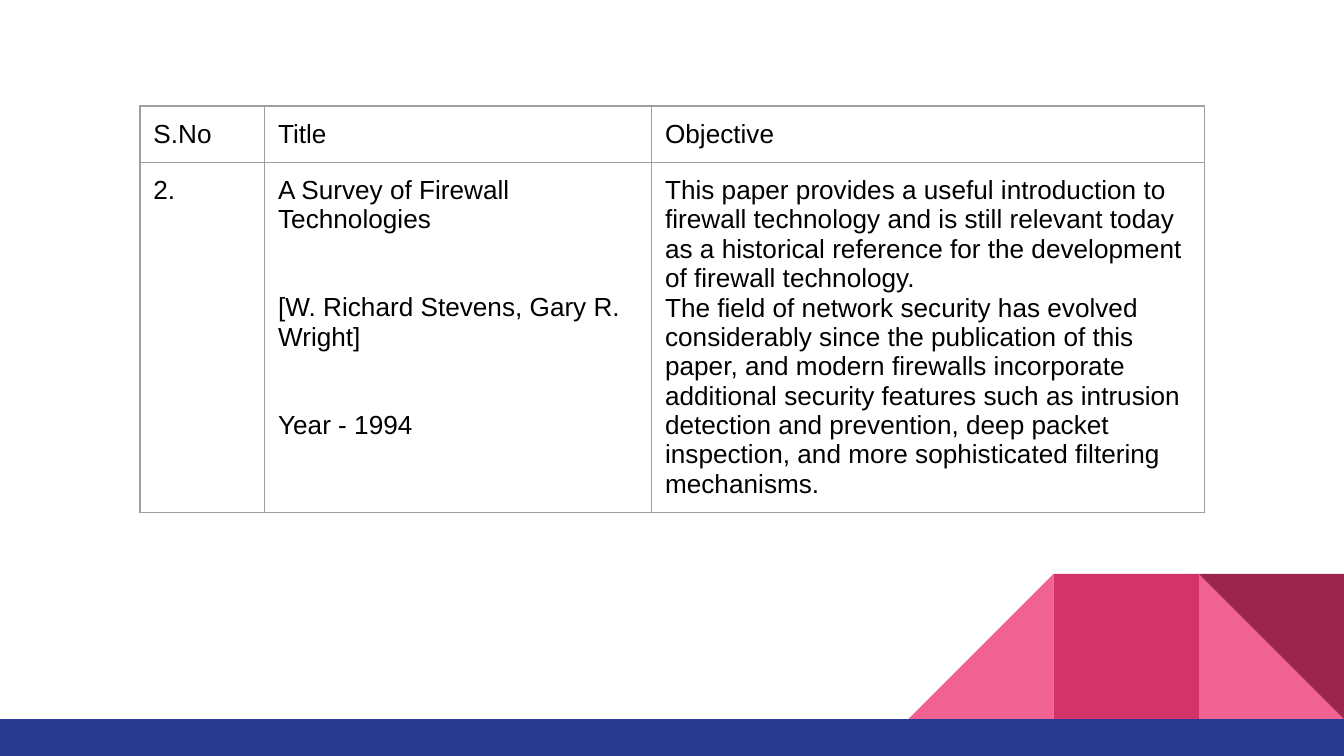
from lxml.etree import SubElement
from pptx import Presentation
from pptx.dml.color import RGBColor
from pptx.enum.shapes import MSO_SHAPE as Shape
from pptx.oxml.ns import qn
from pptx.util import Pt

WHITE = RGBColor(0xFF, 0xFF, 0xFF)
BLACK = RGBColor(0x00, 0x00, 0x00)
GRAY = RGBColor(0x9E, 0x9E, 0x9E)
PINK = RGBColor(0xF0, 0x62, 0x92)
ROSE = RGBColor(0xD2, 0x33, 0x69)
WINE = RGBColor(0x9C, 0x25, 0x4D)
NAVY = RGBColor(0x2A, 0x39, 0x90)

WIDTH, HEIGHT = 720, 405
BAND_HEIGHT = 19.8
TILE = 77.8
TABLE_LEFT, TABLE_TOP = 75, 56.8
COLUMN_WIDTHS = [66.8, 207.3, 296]
ROW_HEIGHTS = [30.2, 187.4]
CELL_MARGIN = 7.2
ENTRY_GAP = 31.4

# Each cell is a list of paragraphs.
ROWS = [
    [["S.No"], ["Title"], ["Objective"]],
    [
        ["2."],
        [
            "A Survey of Firewall Technologies",
            "[W. Richard Stevens, Gary R. Wright]",
            "Year - 1994",
        ],
        [
            "This paper provides a useful introduction to firewall technology and is "
            "still relevant today as a historical reference for the development of "
            "firewall technology.",
            "The field of network security has evolved considerably since the "
            "publication of this paper, and modern firewalls incorporate additional "
            "security features such as intrusion detection and prevention, deep packet "
            "inspection, and more sophisticated filtering mechanisms.",
        ],
    ],
]
TITLE_COLUMN = 1

# Shape, tiles from the right edge, rotation, colour
TILES = [
    (Shape.RIGHT_TRIANGLE, 1, 0, PINK),
    (Shape.RIGHT_TRIANGLE, 3, 270, PINK),
    (Shape.RECTANGLE, 2, 0, ROSE),
    (Shape.RIGHT_TRIANGLE, 1, 180, WINE),
]


def add_block(slide, kind, left, top, width, height, color, rotation=0):
    shape = slide.shapes.add_shape(kind, Pt(left), Pt(top), Pt(width), Pt(height))
    shape.shadow.inherit = False
    shape.fill.solid()
    shape.fill.fore_color.rgb = color
    shape.line.fill.background()
    shape.rotation = rotation


def write_text(frame, paragraphs, size=14, font="Arial", color=BLACK, gap=0):
    """Write the paragraphs, with gap points before each one but the first."""
    for index, text in enumerate(paragraphs):
        paragraph = frame.paragraphs[0] if index == 0 else frame.add_paragraph()
        paragraph.space_before = Pt(gap if index else 0)
        run = paragraph.add_run()
        run.text = text
        run.font.size = Pt(size)
        run.font.name = font
        run.font.color.rgb = color


def add_borders(cell, color=GRAY, width=0.75):
    properties = cell._tc.get_or_add_tcPr()
    for side in ("a:lnL", "a:lnR", "a:lnT", "a:lnB"):
        line = SubElement(properties, qn(side), w=str(int(Pt(width))))
        fill = SubElement(line, qn("a:solidFill"))
        SubElement(fill, qn("a:srgbClr"), val=str(color))


def add_paper_table(slide):
    frame = slide.shapes.add_table(
        len(ROWS), len(COLUMN_WIDTHS), Pt(TABLE_LEFT), Pt(TABLE_TOP),
        Pt(sum(COLUMN_WIDTHS)), Pt(sum(ROW_HEIGHTS)))
    table = frame.table
    table.first_row = table.horz_banding = False
    for column, width in zip(table.columns, COLUMN_WIDTHS):
        column.width = Pt(width)
    for row, height in zip(table.rows, ROW_HEIGHTS):
        row.height = Pt(height)
    for row_index, row in enumerate(ROWS):
        for column_index, paragraphs in enumerate(row):
            cell = table.cell(row_index, column_index)
            cell.margin_left = cell.margin_right = Pt(CELL_MARGIN)
            cell.margin_top = cell.margin_bottom = Pt(CELL_MARGIN)
            add_borders(cell)
            cell.fill.background()
            gap = ENTRY_GAP if column_index == TITLE_COLUMN else 0
            write_text(cell.text_frame, paragraphs, gap=gap)


def main():
    presentation = Presentation()
    presentation.slide_width, presentation.slide_height = Pt(WIDTH), Pt(HEIGHT)
    slide = presentation.slides.add_slide(presentation.slide_layouts[6])
    slide.background.fill.solid()
    slide.background.fill.fore_color.rgb = WHITE

    band_top = HEIGHT - BAND_HEIGHT
    for kind, position, rotation, color in TILES:
        add_block(slide, kind, WIDTH - position * TILE, band_top - TILE,
                  TILE, TILE, color, rotation)
    add_block(slide, Shape.RECTANGLE, 0, band_top, WIDTH, BAND_HEIGHT, NAVY)
    add_paper_table(slide)
    presentation.save("out.pptx")


if __name__ == "__main__":
    main()
